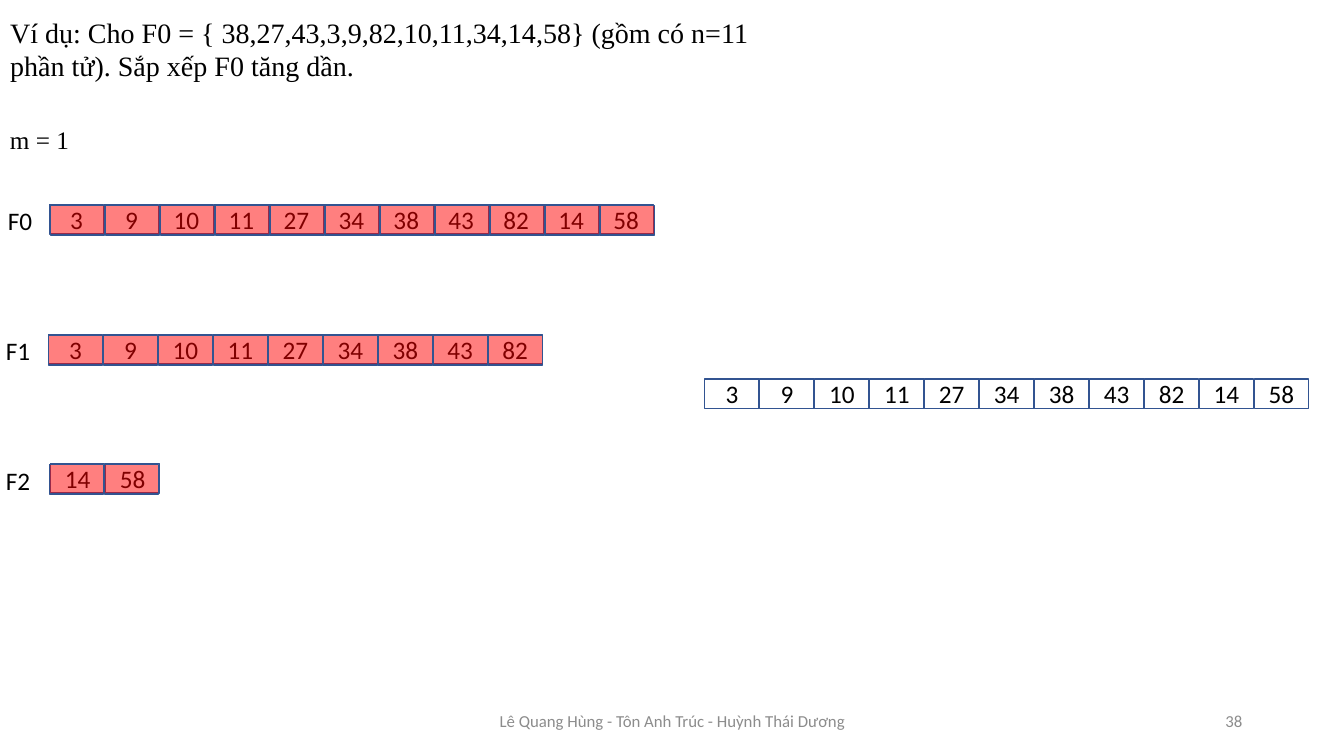
import pptx
import pptx.util
import pptx.dml.color
import pptx.enum.shapes
import pptx.enum.text
import pptx.oxml
import pptx.oxml.ns

Inches = pptx.util.Inches
Align = pptx.enum.text.PP_ALIGN
Anchor = pptx.enum.text.MSO_ANCHOR

COLORS = {"ink": "000000", "paper": "FFFFFF", "edge": "325491",
          "tint": "FF0000", "gray": "8C8C8C"}
TITLE = ("Ví dụ: Cho F0 = { 38,27,43,3,9,82,10,11,34,14,58} "
         "(gồm có n=11 phần tử). Sắp xếp F0 tăng dần.")
RUN_A = [3, 9, 10, 11, 27, 34, 38, 43, 82]
RUN_B = [14, 58]
ROWS = [
    (0.49, 2.03, RUN_A + RUN_B, 0.5),
    (0.48, 3.32, RUN_A, 0.48),
    (0.5, 4.6, RUN_B, 0.49),
    (6.99, 3.76, RUN_A + RUN_B, None),
]
LABELS = [
    ("m = 1", (0, 1.18, 0.82, 0.4), "Times New Roman", 18, "ink", Align.LEFT, Anchor.TOP),
    ("F0", (-0.02, 1.99, 0.68, 0.4), "Calibri", 18, "ink", Align.LEFT, Anchor.TOP),
    ("F1", (-0.04, 3.28, 0.7, 0.4), "Calibri", 18, "ink", Align.LEFT, Anchor.TOP),
    ("F2", (-0.04, 4.57, 0.71, 0.4), "Calibri", 18, "ink", Align.LEFT, Anchor.TOP),
    ("Lê Quang Hùng - Tôn Anh Trúc - Huỳnh Thái Dương", (4.42, 6.95, 4.5, 0.4),
     "Calibri", 12, "gray", Align.CENTER, Anchor.MIDDLE),
    ("38", (9.42, 6.95, 3, 0.4), "Calibri", 12, "gray", Align.RIGHT, Anchor.MIDDLE),
]
CELL_W, CELL_H = 0.54, 0.29
PITCH = 5.45 / 10
TINT_DROP = 0.01


def color(name):
    return pptx.dml.color.RGBColor.from_string(COLORS[name])


def write(shape, text, face, size, ink, align, anchor):
    frame = shape.text_frame
    frame.text = text
    frame.word_wrap = True
    frame.auto_size = pptx.enum.text.MSO_AUTO_SIZE.NONE
    frame.vertical_anchor = anchor
    para = frame.paragraphs[0]
    para.alignment = align
    para.font.name = face
    para.font.size = pptx.util.Pt(size)
    para.font.color.rgb = color(ink)


def add_cell(slide, left, top, fill):
    cell = slide.shapes.add_shape(
        pptx.enum.shapes.MSO_SHAPE.RECTANGLE,
        Inches(left), Inches(top), Inches(CELL_W), Inches(CELL_H))
    cell.shadow.inherit = False
    cell.fill.solid()
    cell.fill.fore_color.rgb = color(fill)
    cell.line.color.rgb = color("edge")
    cell.line.width = pptx.util.Pt(1)
    return cell


def add_tint(slide, left, top):
    cell = add_cell(slide, left, top, "tint")
    shade = cell.fill._xPr.find(".//" + pptx.oxml.ns.qn("a:srgbClr"))
    alpha = pptx.oxml.parse_xml(
        "<a:alpha %s val='50000'/>" % pptx.oxml.ns.nsdecls("a"))
    shade.append(alpha)


def add_row(slide, left, top, values, tint_left):
    for i, value in enumerate(values):
        cell = add_cell(slide, left + i * PITCH, top, "paper")
        write(cell, str(value), "Calibri", 18, "ink", Align.CENTER, Anchor.MIDDLE)
    if tint_left is not None:
        for i in range(len(values)):
            add_tint(slide, tint_left + i * PITCH, top + TINT_DROP)


def main():
    deck = pptx.Presentation()
    deck.slide_width, deck.slide_height = Inches(13.33), Inches(7.5)
    slide = deck.slides.add_slide(deck.slide_layouts.get_by_name("Title Only"))

    title = slide.shapes.title
    title.left, title.top = Inches(0), Inches(0.1)
    title.width, title.height = Inches(7.55), Inches(0.77)
    write(title, TITLE, "Times New Roman", 20, "ink", Align.LEFT, Anchor.TOP)

    for text, box, *style in LABELS:
        label = slide.shapes.add_textbox(*map(Inches, box))
        write(label, text, *style)
    for row in ROWS:
        add_row(slide, *row)

    deck.save("out.pptx")


if __name__ == "__main__":
    main()
